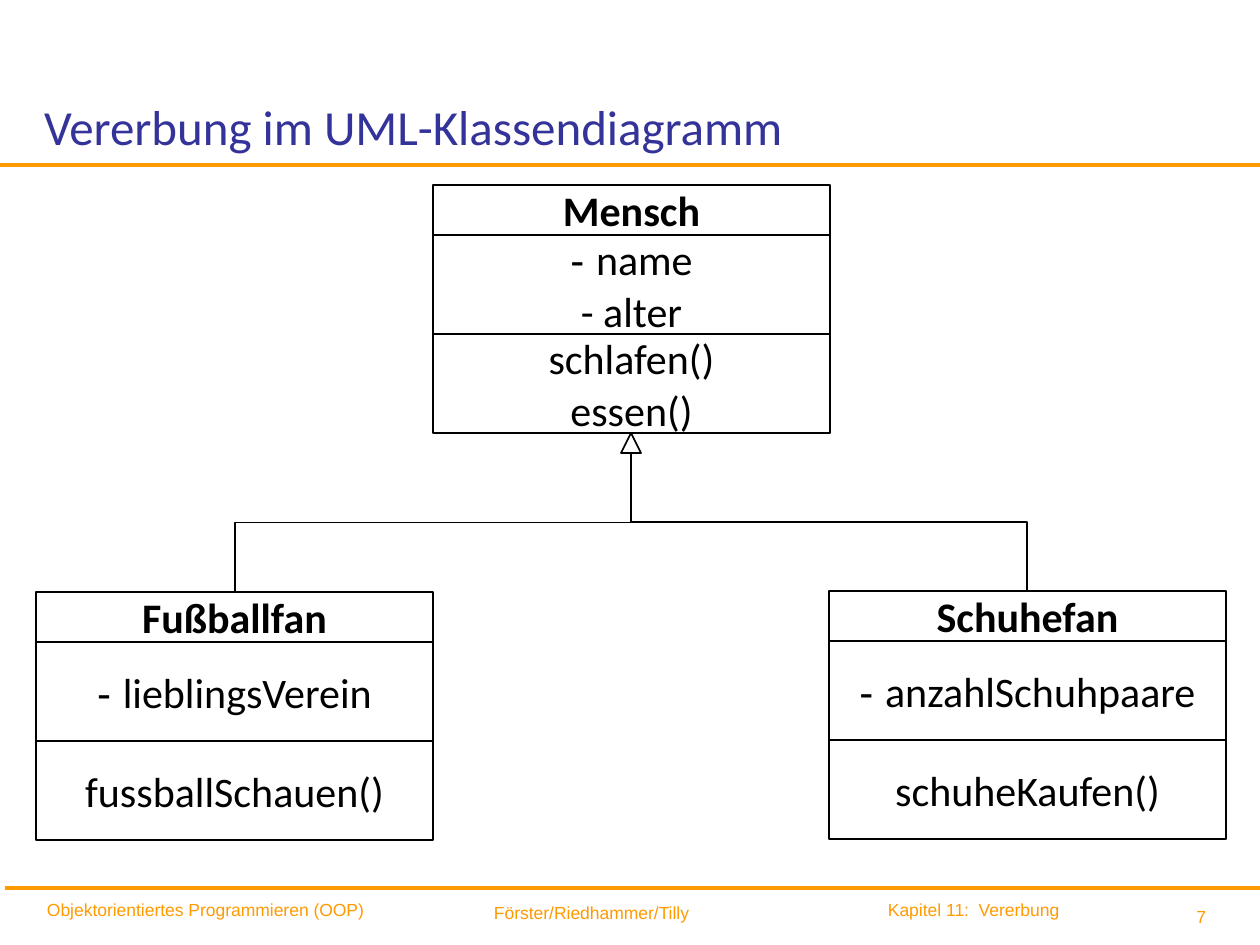
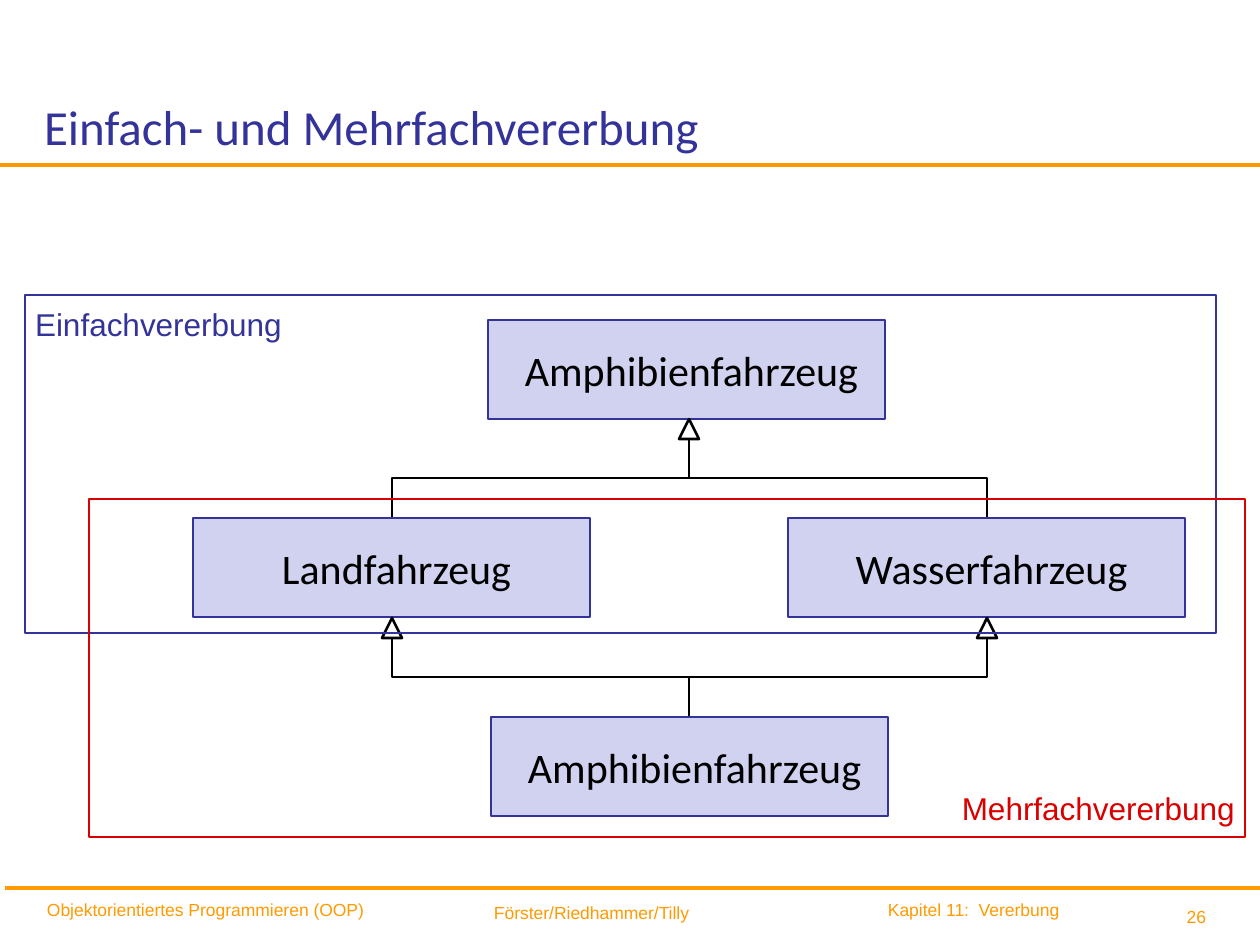
from lxml.etree import SubElement
from pptx import Presentation
from pptx.dml.color import RGBColor
from pptx.enum.shapes import MSO_CONNECTOR as Link, MSO_SHAPE as Preset
from pptx.enum.text import MSO_ANCHOR as Anchor, MSO_AUTO_SIZE as AutoSize, PP_ALIGN as Align
from pptx.oxml.ns import qn
from pptx.util import Emu, Pt

EMU_PER_PX = 914400 / 126
COLORS = {
    "ink": "000000",
    "paper": "FFFFFF",
    "indigo": "333399",
    "lavender": "D1D1F0",
    "rule": "FF9900",
    "footer": "FF9A00",
    "red": "DA0000",
}
HEADING, PLAIN = "Calibri", "Arial"
BOX_WIDTH, NAME_HEIGHT, PART_HEIGHT = 397, 50, 99
ARROW = 20


def px(length):
    return Emu(round(length * EMU_PER_PX))


def color(name):
    return RGBColor.from_string(COLORS[name])


def write(frame, lines, size=24, font=HEADING, ink="ink", bold=False, align=Align.CENTER,
          anchor=Anchor.MIDDLE, insets=(0, 0, 0, 0), wrap=True, gap=0):
    """Fill a text frame; a line is a string or a list of (text, font) spans."""
    frame.auto_size = AutoSize.NONE
    frame.word_wrap = wrap
    frame.vertical_anchor = anchor
    (frame.margin_left, frame.margin_top,
     frame.margin_right, frame.margin_bottom) = map(px, insets)
    for index, line in enumerate(lines):
        para = frame.add_paragraph() if index else frame.paragraphs[0]
        para.alignment = align
        para.space_before = Pt(gap if index else 0)
        for text, face in [(line, font)] if isinstance(line, str) else line:
            span = para.add_run()
            span.text = text
            span.font.name = face
            span.font.size = Pt(size)
            span.font.bold = bold
            span.font.color.rgb = color(ink)


class Slides:
    def __init__(self):
        self.deck = Presentation()
        self.deck.slide_width, self.deck.slide_height = px(1260), px(945)
        self.page = None

    def add_page(self, title, number):
        self.page = self.deck.slides.add_slide(self.deck.slide_layouts[5])
        self.footer(number, 827, 900, 399, Align.RIGHT, right=20)
        self.footer("Förster/Riedhammer/Tilly", 433, 896, 261, Align.RIGHT, right=5)
        self.rule(5, 888)
        self.rule(0, 165)
        self.footer("Kapitel 11:  Vererbung", 888, 893, 277)
        self.footer("Objektorientiertes Programmieren (OOP)", 35, 893, 364, left=12)
        box = self.page.shapes.title
        box.left, box.top, box.width, box.height = map(px, (44, 38, 745, 117))
        write(box.text_frame, [title], size=28, ink="indigo",
              align=Align.LEFT, anchor=Anchor.BOTTOM)

    def footer(self, text, left_edge, top, width, align=Align.LEFT, left=0, right=0):
        box = self.page.shapes.add_textbox(*map(px, (left_edge, top, width, 45)))
        write(box.text_frame, [text], size=10, font=PLAIN, ink="footer", align=align,
              anchor=Anchor.TOP, insets=(left, 6, right, 6))

    def connector(self, kind, start, end, ink="ink", weight=1):
        line = self.page.shapes.add_connector(kind, *map(px, (*start, *end)))
        line.line.color.rgb = color(ink)
        line.line.width = Pt(weight)
        SubElement(line.element.spPr, qn("a:effectLst"))
        return line

    def rule(self, left, y):
        self.connector(Link.STRAIGHT, (left, y), (1265, y), "rule", 2)

    def branch(self, start, end, weight=1):
        """Elbow that leaves upwards, crosses halfway and arrives upwards."""
        (x1, y1), (x2, y2) = start, end
        center_x, center_y = (x1 + x2) / 2, (y1 + y2) / 2
        side = 1 if x2 > x1 else -1
        half_run, half_rise = abs(x2 - x1) / 2, side * (y1 - y2) / 2
        line = self.connector(Link.ELBOW, (center_x - half_rise, center_y - half_run),
                              (center_x + half_rise, center_y + half_run), weight=weight)
        degrees = 270 if side > 0 else 90
        line.element.spPr.find(qn("a:xfrm")).set("rot", str(degrees * 60000))

    def outline(self, shape, fill, ink, weight):
        shape.shadow.inherit = False
        if fill:
            shape.fill.solid()
            shape.fill.fore_color.rgb = color(fill)
        else:
            shape.fill.background()
        shape.line.color.rgb = color(ink)
        shape.line.width = Pt(weight)

    def arrow(self, x, y, fill=None, weight=1):
        """Inheritance triangle with its tip at (x, y)."""
        half, base = ARROW / 2, y + ARROW
        builder = self.page.shapes.build_freeform(x, base, EMU_PER_PX)
        builder.add_line_segments([(x + half, base), (x, y), (x - half, base)], close=True)
        self.outline(builder.convert_to_shape(), fill, "ink", weight)

    def box(self, left, top, width, height, lines, fill=None, line="ink", weight=1, **text):
        shape = self.page.shapes.add_shape(
            Preset.RECTANGLE, *map(px, (left, top, width, height)))
        self.outline(shape, fill, line, weight)
        write(shape.text_frame, lines, **text)

    def uml_class(self, left, top, name, fields, methods):
        self.box(left, top, BOX_WIDTH, NAME_HEIGHT, [name], bold=True, wrap=False)
        top += NAME_HEIGHT
        for lines in (fields, methods):
            self.box(left, top, BOX_WIDTH, PART_HEIGHT, lines, wrap=False, gap=1.2)
            top += PART_HEIGHT

    def vehicle(self, left, top, name):
        self.box(left, top, BOX_WIDTH, PART_HEIGHT, [name], fill="lavender",
                 line="indigo", weight=1.5, insets=(10, 0, 0, 0))

    def group(self, left, top, width, label, ink, **text):
        self.box(left, top, width, 338, [label], line=ink, weight=1.5,
                 size=18, font=PLAIN, ink=ink, wrap=False, **text)


def field(name):
    return [("- ", PLAIN), (name, HEADING)]


def class_diagram(slides):
    slides.add_page("Vererbung im UML-Klassendiagramm", "7")
    slides.uml_class(433, 185, "Mensch", [field("name"), "- alter"],
                     ["schlafen()", "essen()"])
    slides.uml_class(36, 592, "Fußballfan", [field("lieblingsVerein")],
                     ["fussballSchauen()"])
    slides.uml_class(829, 591, "Schuhefan", [field("anzahlSchuhpaare")],
                     ["schuheKaufen()"])
    slides.arrow(631, 433)
    for start in ((235, 592), (1027, 591)):
        slides.branch(start, (631, 433 + ARROW))


def inheritance_kinds(slides):
    slides.add_page("Einfach- und Mehrfachvererbung", "26")
    for left, top, name in ((491, 717, "Amphibienfahrzeug"), (788, 518, "Wasserfahrzeug"),
                            (193, 518, "Landfahrzeug"), (488, 320, "Amphibienfahrzeug")):
        slides.vehicle(left, top, name)
    middle, sides = 689, (392, 987)
    for x in sides:
        slides.branch((middle, 716), (x, 618 + ARROW), 1.5)
        slides.branch((x, 517), (middle, 419 + ARROW), 1.5)
        slides.arrow(x, 618, "paper", 1.5)
    slides.arrow(middle, 419, "paper", 1.5)
    slides.group(25, 295, 1191, "Einfachvererbung", "indigo", align=Align.LEFT,
                 anchor=Anchor.TOP, insets=(10, 10, 0, 0))
    slides.group(89, 499, 1156, "Mehrfachvererbung", "red", align=Align.RIGHT,
                 anchor=Anchor.BOTTOM, insets=(10, 10, 10, 10))


def main():
    slides = Slides()
    class_diagram(slides)
    inheritance_kinds(slides)
    slides.deck.save("out.pptx")


if __name__ == "__main__":
    main()
